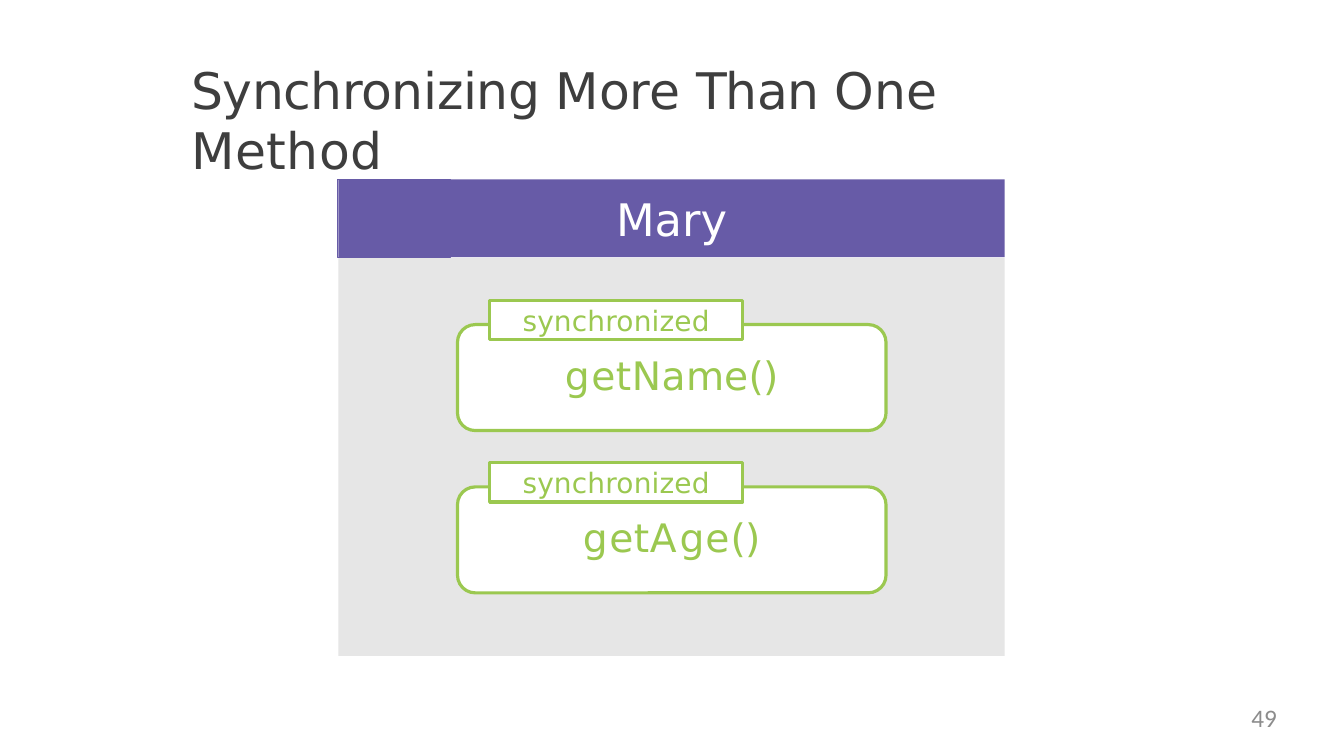
from pptx import Presentation
from pptx.dml.color import RGBColor
from pptx.enum.shapes import MSO_SHAPE
from pptx.enum.text import MSO_ANCHOR, PP_ALIGN
from pptx.util import Cm, Pt

PURPLE, GREEN, WHITE = "675BA7", "9BC850", "FFFFFF"

presentation = Presentation()
presentation.slide_width, presentation.slide_height = Cm(33.87), Cm(19.05)
slide = presentation.slides.add_slide(presentation.slide_layouts[6])


def add_box(left, top, width, height, kind=MSO_SHAPE.RECTANGLE, fill=None, line=None, weight=2.28):
    shape = slide.shapes.add_shape(kind, Cm(left), Cm(top), Cm(width), Cm(height))
    shape.shadow.inherit = False
    if fill:
        shape.fill.solid()
        shape.fill.fore_color.rgb = RGBColor.from_string(fill)
    else:
        shape.fill.background()
    if line:
        shape.line.color.rgb = RGBColor.from_string(line)
        shape.line.width = Pt(weight)
    else:
        shape.line.fill.background()
    return shape


def write(shape, runs, size, color, font="DejaVu Sans", align=PP_ALIGN.CENTER,
          anchor=MSO_ANCHOR.MIDDLE, bottom=0):
    """Write (text, letter spacing in points) pairs as one paragraph."""
    frame = shape.text_frame
    frame.word_wrap = True
    frame.vertical_anchor = anchor
    frame.margin_left = frame.margin_right = frame.margin_top = 0
    frame.margin_bottom = Cm(bottom)
    paragraph = frame.paragraphs[0]
    paragraph.alignment = align
    for text, spacing in runs:
        run = paragraph.add_run()
        run.text = text
        run.font.name = font
        run.font.size = Pt(size)
        run.font.color.rgb = RGBColor.from_string(color)
        if spacing:
            run.font._element.set("spc", str(round(spacing * 100)))


# Title
title = slide.shapes.add_textbox(Cm(4.82), Cm(1.48), Cm(24), Cm(1.6))
title_runs = [("Synchronizing ", -0.3), ("More ", -0.1), ("Than ", -0.6), ("One ", 0.3), ("Method", 0.4)]
write(title, title_runs, 36, "3E3E3E", align=PP_ALIGN.LEFT, anchor=MSO_ANCHOR.TOP)

# Object panel with its header
add_box(8.53, 6.5, 16.79, 10.03, fill="E6E6E6")
header = add_box(8.53, 4.52, 16.79, 1.96, fill=PURPLE)
write(header, [("Mary", 0)], 32, WHITE)
add_box(8.51, 4.52, 2.84, 1.98, line=PURPLE, weight=0.72)

# Synchronized methods
methods = [
    [("g", 1.2), ("e", 0.2), ("t", 0.5), ("Na", 0.3), ("m", -0.8), ("e", 0.2), ("()", -0.4)],
    [("g", 1.2), ("e", 0.2), ("t", 0.5), ("A", 2.1), ("ge", 0.7), ("()", -0.4)],
]
for index, method_runs in enumerate(methods):
    offset = index * 4.09
    method = add_box(11.53, 8.18 + offset, 10.8, 2.67, MSO_SHAPE.ROUNDED_RECTANGLE, WHITE, GREEN)
    write(method, method_runs, 28, GREEN, bottom=0.14)
    tag = add_box(12.34, 7.57 + offset, 6.38, 0.99, fill=WHITE, line=GREEN)
    write(tag, [("synchronized", 0.1)], 20, GREEN)

# Slide number
number = slide.shapes.add_textbox(Cm(24.38), Cm(17.7), Cm(7.8), Cm(0.97))
write(number, [("49", 0)], 18, "8C8C8C", font="Calibri", align=PP_ALIGN.RIGHT, anchor=MSO_ANCHOR.TOP)

presentation.save("out.pptx")
